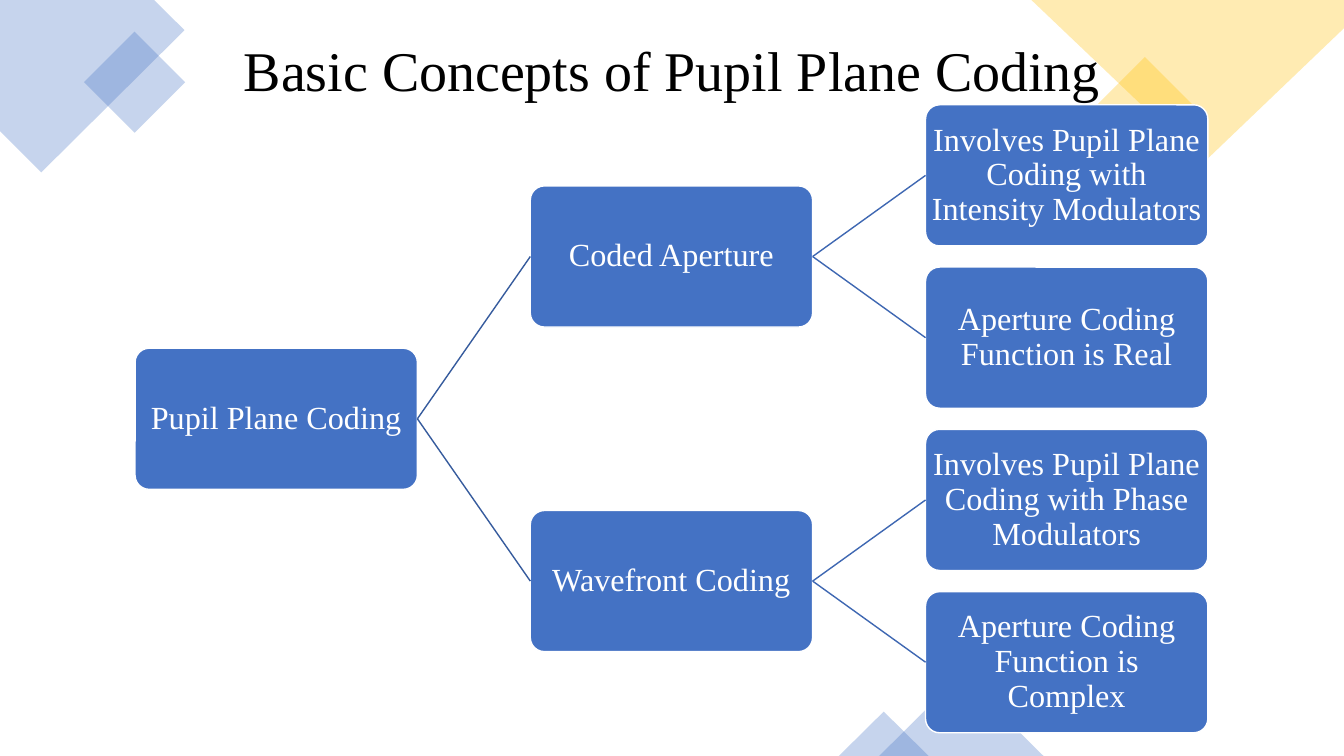
from pptx import Presentation
from pptx.dml.color import RGBColor
from pptx.enum.shapes import MSO_CONNECTOR, MSO_SHAPE
from pptx.enum.text import MSO_ANCHOR, PP_ALIGN
from pptx.oxml.ns import qn
from pptx.util import Inches, Pt
from lxml import etree

RECT, TRIANGLE = MSO_SHAPE.RECTANGLE, MSO_SHAPE.ISOSCELES_TRIANGLE
ROUNDED = MSO_SHAPE.ROUNDED_RECTANGLE
STRAIGHT = MSO_CONNECTOR.STRAIGHT
CENTER, MIDDLE = PP_ALIGN.CENTER, MSO_ANCHOR.MIDDLE
BLUE = RGBColor(0x44, 0x72, 0xC4)
GOLD = RGBColor(0xFF, 0xC0, 0x00)
WHITE = RGBColor(0xFF, 0xFF, 0xFF)
BLACK = RGBColor(0, 0, 0)
LINK_COLORS = [RGBColor(0x36, 0x5B, 0x9D), RGBColor(0x3E, 0x67, 0xB2)]
FONT = "Times New Roman"

# Content
TITLE = "Basic Concepts of Pupil Plane Coding"
TREE = ("Pupil Plane Coding", [
    ("Coded Aperture", [
        ("Involves Pupil Plane Coding with Intensity Modulators", []),
        ("Aperture Coding Function is Real", []),
    ]),
    ("Wavefront Coding", [
        ("Involves Pupil Plane Coding with Phase Modulators", []),
        ("Aperture Coding Function is Complex", []),
    ]),
])
CORNERS = [  # colour, outline points
    (BLUE, [(1.53, 0), (0, 0), (0, 1.3), (0.41, 1.71), (1.83, 0.3)]),
    (GOLD, [(13.33, 0), (10.23, 0), (11.93, 1.62), (13.33, 0.28)]),
]
ACCENTS = [  # preset, colour, left, top, width, height, rotation
    (RECT, BLUE, 0.98, 0.46, 0.71, 0.71, 315),
    (RECT, GOLD, 10.98, 0.72, 0.75, 0.75, 315),
    (TRIANGLE, BLUE, 8.72, 6.69, 1.63, 0.81, 0),
    (TRIANGLE, BLUE, 8.32, 7.06, 0.89, 0.44, 0),
]

# Tree layout, in inches
BOX_W, BOX_H = 2.8, 1.4
LEFT, COLUMN_STEP = 1.34, 3.92
FIRST_LEAF_Y, LEAF_STEP = 1.74, 1.61

prs = Presentation()
prs.slide_width, prs.slide_height = Inches(13.33), Inches(7.5)
slide = prs.slides.add_slide(prs.slide_layouts[6])
slide.background.fill.solid()
slide.background.fill.fore_color.rgb = WHITE
shapes = slide.shapes


def tint(sp, color):
    """Fill with a 30 % opaque colour and no outline."""
    sp.shadow.inherit = False
    sp.fill.solid()
    sp.fill.fore_color.rgb = color
    clr = sp.fill._xPr.find(".//" + qn("a:srgbClr"))
    etree.SubElement(clr, qn("a:alpha"), val="30000")
    sp.line.fill.background()


def write(sp, text, size, color):
    tf = sp.text_frame
    tf.word_wrap = True
    tf.text = text
    p = tf.paragraphs[0]
    p.alignment = CENTER
    font = p.runs[0].font
    font.name, font.size, font.color.rgb = FONT, Pt(size), color
    return tf


def add_box(text, level, y):
    sp = shapes.add_shape(ROUNDED, Inches(LEFT + level * COLUMN_STEP),
                          Inches(y - BOX_H / 2), Inches(BOX_W), Inches(BOX_H))
    sp.adjustments[0] = 0.1
    sp.shadow.inherit = False
    sp.fill.solid()
    sp.fill.fore_color.rgb = BLUE
    sp.line.color.rgb = WHITE
    sp.line.width = Pt(1)
    tf = write(sp, text, 23, WHITE)
    tf.vertical_anchor = MIDDLE
    tf.margin_left = tf.margin_right = Inches(0.02)
    tf.margin_top = tf.margin_bottom = Inches(0.02)
    tf.paragraphs[0].line_spacing = 0.9
    return sp


def add_link(parent, child, color):
    cx = shapes.add_connector(STRAIGHT, 0, 0, 0, 0)
    cx.begin_connect(parent, 3)
    cx.end_connect(child, 1)
    cx.line.color.rgb = color
    cx.line.width = Pt(1)
    etree.SubElement(cx._element.spPr, qn("a:effectLst"))


def add_branch(node, level, next_leaf):
    """Draw a node centred on its children; return box, centre, next leaf."""
    text, children = node
    boxes, centers = [], []
    for child in children:
        box, y, next_leaf = add_branch(child, level + 1, next_leaf)
        boxes.append(box)
        centers.append(y)
    if children:
        y = sum(centers) / len(centers)
    else:
        y = FIRST_LEAF_Y + next_leaf * LEAF_STEP
        next_leaf += 1
    parent = add_box(text, level, y)
    for box in boxes:
        add_link(parent, box, LINK_COLORS[level])
    return parent, y, next_leaf


# Corner decoration
for color, points in CORNERS:
    corner = [(Inches(x), Inches(y)) for x, y in points]
    builder = shapes.build_freeform(*corner[0])
    builder.add_line_segments(corner[1:], close=True)
    tint(builder.convert_to_shape(), color)
for preset, color, x, y, w, h, rotation in ACCENTS:
    sp = shapes.add_shape(preset, Inches(x), Inches(y), Inches(w), Inches(h))
    sp.rotation = rotation
    tint(sp, color)

# Title
title = shapes.add_textbox(Inches(2.1), Inches(0.3), Inches(9.13), Inches(0.77))
write(title, TITLE, 40, BLACK)

# Concept tree
add_branch(TREE, 0, 0)

prs.save("out.pptx")
